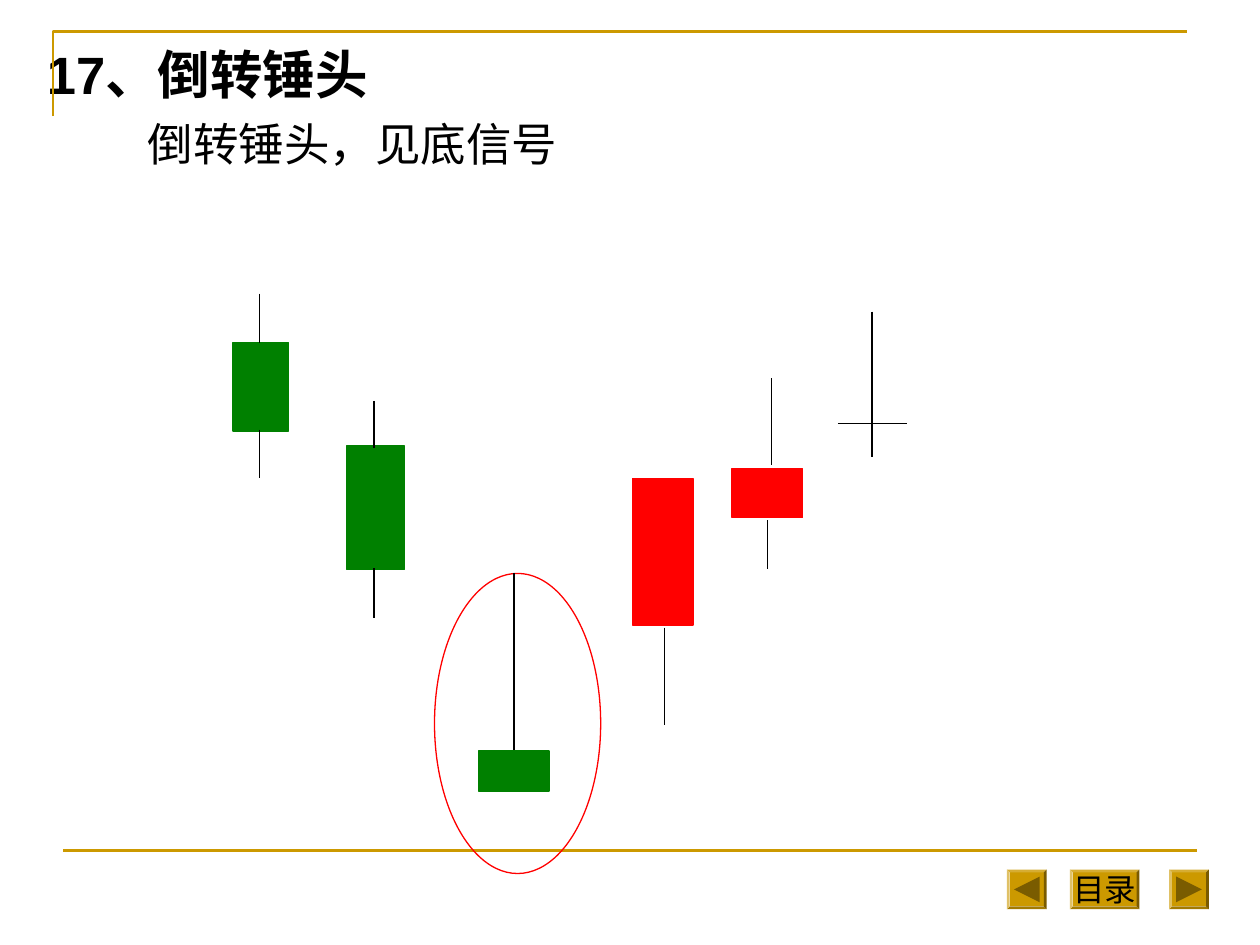
import pptx
import pptx.util
import pptx.dml.color
import pptx.enum.shapes
import pptx.enum.text
import pptx.oxml.ns
import lxml.etree

Cm, Pt = pptx.util.Cm, pptx.util.Pt
SHAPE = pptx.enum.shapes.MSO_SHAPE
GOLD, DARK_GOLD = "CC9900", "7A5C00"
BLACK, RED, GREEN = "000000", "FF0000", "008000"

# body: left, top, width, height; wicks: x, top, bottom
CANDLES = [
    (GREEN, (0, 0.99, 1.12, 1.78), [(0.53, 0, 0.99), (0.53, 2.74, 3.71)]),
    (GREEN, (2.29, 3.07, 1.17, 2.49), [(2.84, 2.16, 3.12), (2.84, 5.54, 6.53)]),
    (GREEN, (4.95, 9.22, 1.42, 0.81), [(5.66, 5.64, 9.19)]),
    (RED, (8.05, 3.73, 1.22, 2.95), [(8.69, 6.73, 8.69)]),
    (RED, (10.06, 3.53, 1.42, 0.99), [(10.85, 1.7, 3.45), (10.77, 4.57, 5.56)]),
]


def rgb(color):
    return pptx.dml.color.RGBColor.from_string(color)


def add_shape(s, kind, left, top, width, height, fill=None, line=None):
    sp = s.shapes.add_shape(kind, Cm(left), Cm(top), Cm(width), Cm(height))
    sp.shadow.inherit = False
    if fill:
        sp.fill.solid()
        sp.fill.fore_color.rgb = rgb(fill)
    else:
        sp.fill.background()
    if line:
        sp.line.color.rgb = rgb(line)
        sp.line.width = Pt(0.75)
    else:
        sp.line.fill.background()
    return sp


def add_line(s, x1, y1, x2, y2, color=BLACK, width=0.75):
    cxn = s.shapes.add_connector(
        pptx.enum.shapes.MSO_CONNECTOR.STRAIGHT, Cm(x1), Cm(y1), Cm(x2), Cm(y2))
    cxn.line.color.rgb = rgb(color)
    cxn.line.width = Pt(width)
    lxml.etree.SubElement(cxn._element.spPr, pptx.oxml.ns.qn("a:effectLst"))


def add_run(p, text, size, bold=False):
    r = p.add_run()
    r.text = text
    r.font.name = "Arial"
    r.font.size = Pt(size)
    r.font.bold = bold
    r.font.color.rgb = rgb(BLACK)


def add_frame(s, left, top, width, height):
    fb = s.shapes.build_freeform(Cm(left), Cm(top + 1.7))
    fb.add_line_segments([(Cm(left), Cm(top)), (Cm(left + width), Cm(top))], close=False)
    corner = fb.convert_to_shape()
    corner.shadow.inherit = False
    corner.fill.background()
    corner.line.color.rgb = rgb(GOLD)
    corner.line.width = Pt(1.5)
    bottom = top + height
    add_line(s, left + 0.2, bottom, left + width + 0.2, bottom, GOLD, 1.5)


def add_button(s, left, top, width, height):
    sp = add_shape(s, SHAPE.BEVEL, left, top, width, height, GOLD)
    sp.adjustments[0] = 0.07
    return sp


def add_navigation(s, left, top, height):
    for x, angle in ((0, -90), (3.27, 90)):
        add_button(s, left + x, top, height, height)
        arrow = add_shape(s, SHAPE.ISOSCELES_TRIANGLE, left + x + 0.14, top + 0.14,
                          height - 0.28, height - 0.28, DARK_GOLD)
        arrow.rotation = angle
    contents = add_button(s, left + 1.27, top, 1.4, height)
    tf = contents.text_frame
    tf.word_wrap = False
    tf.margin_left = tf.margin_right = tf.margin_top = tf.margin_bottom = 0
    tf.vertical_anchor = pptx.enum.text.MSO_ANCHOR.MIDDLE
    p = tf.paragraphs[0]
    p.alignment = pptx.enum.text.PP_ALIGN.CENTER
    add_run(p, "目录", 18)


def fill_body(body, left, top, width, height):
    body.left, body.top, body.width, body.height = Cm(left), Cm(top), Cm(width), Cm(height)
    tf = body.text_frame
    tf.auto_size = pptx.enum.text.MSO_AUTO_SIZE.NONE
    rows = [("17、倒转锤头", 30, True, 0, 0), ("倒转锤头，见底信号", 26, False, 2.03, 6.5)]
    for i, (text, size, bold, indent, before) in enumerate(rows):
        p = tf.add_paragraph() if i else tf.paragraphs[0]
        pPr = p._p.get_or_add_pPr()
        pPr.set("marL", str(Cm(indent)))
        pPr.set("indent", "0")
        lxml.etree.SubElement(pPr, pptx.oxml.ns.qn("a:buNone"))
        p.space_before = Pt(before)
        add_run(p, text, size, bold)


def add_candles(s, left, top):
    add_shape(s, SHAPE.OVAL, left + 4.06, top + 5.64, 3.35, 6.05, line=RED)
    for color, (x, y, width, height), wicks in CANDLES:
        add_shape(s, SHAPE.RECTANGLE, left + x, top + y, width, height, color, color)
        for wx, high, low in wicks:
            add_line(s, left + wx, top + high, left + wx, top + low)
    add_line(s, left + 12.88, top + 0.36, left + 12.88, top + 3.3)
    add_line(s, left + 12.19, top + 2.62, left + 13.59, top + 2.62)


def main():
    prs = pptx.Presentation()
    prs.slide_width, prs.slide_height = Cm(25.4), Cm(19.05)
    s = prs.slides.add_slide(prs.slide_layouts[1])
    title = s.shapes.title._element
    title.getparent().remove(title)
    add_frame(s, 1.07, 0.64, 22.86, 16.5)
    add_navigation(s, 20.3, 17.53, 0.8)
    fill_body(s.placeholders[1], 0.69, 0.71, 22.86, 12.6)
    add_candles(s, 4.7, 5.92)
    prs.save("out.pptx")


if __name__ == "__main__":
    main()
